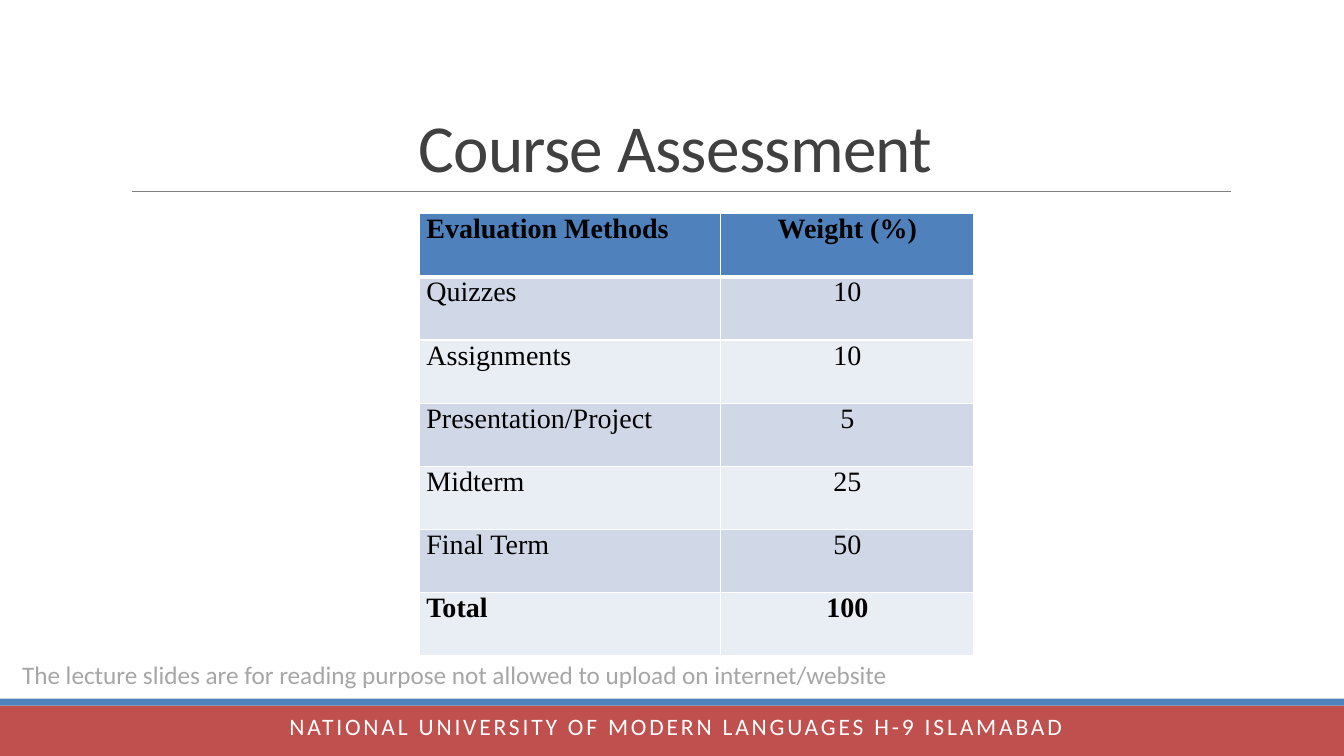
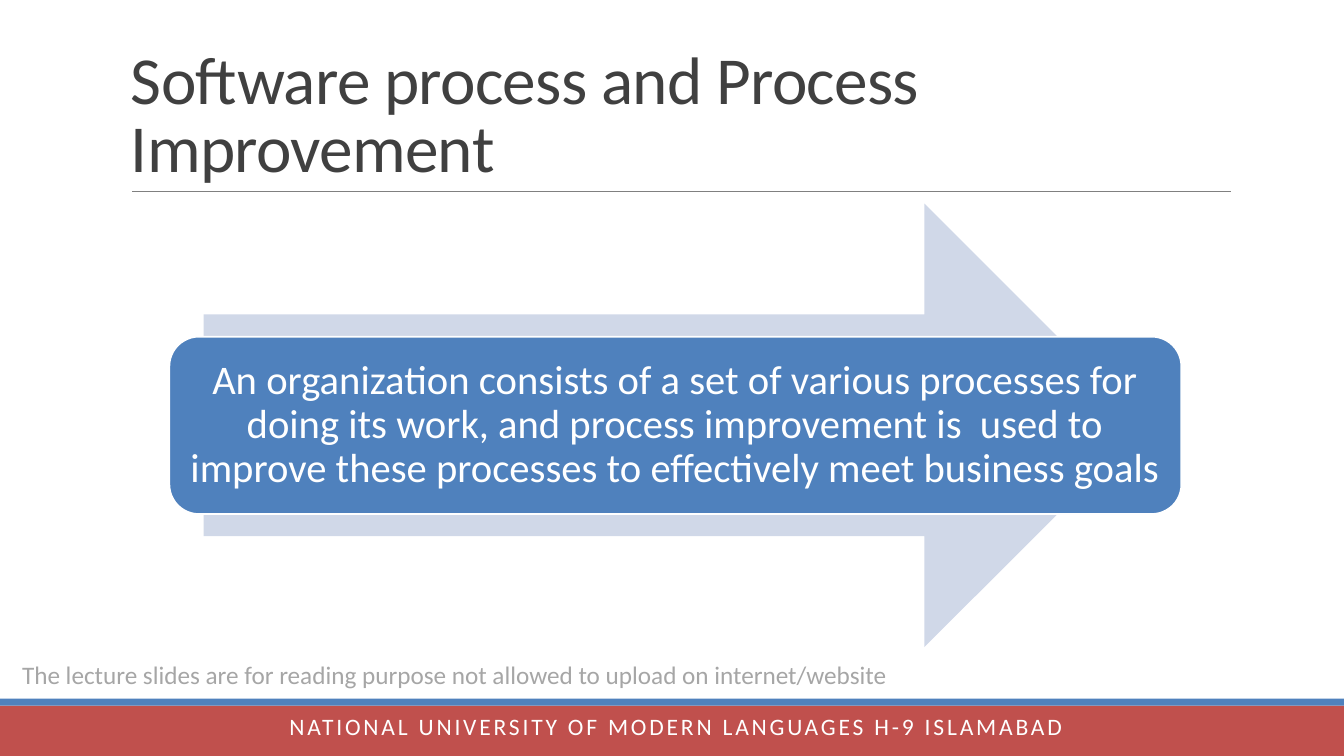
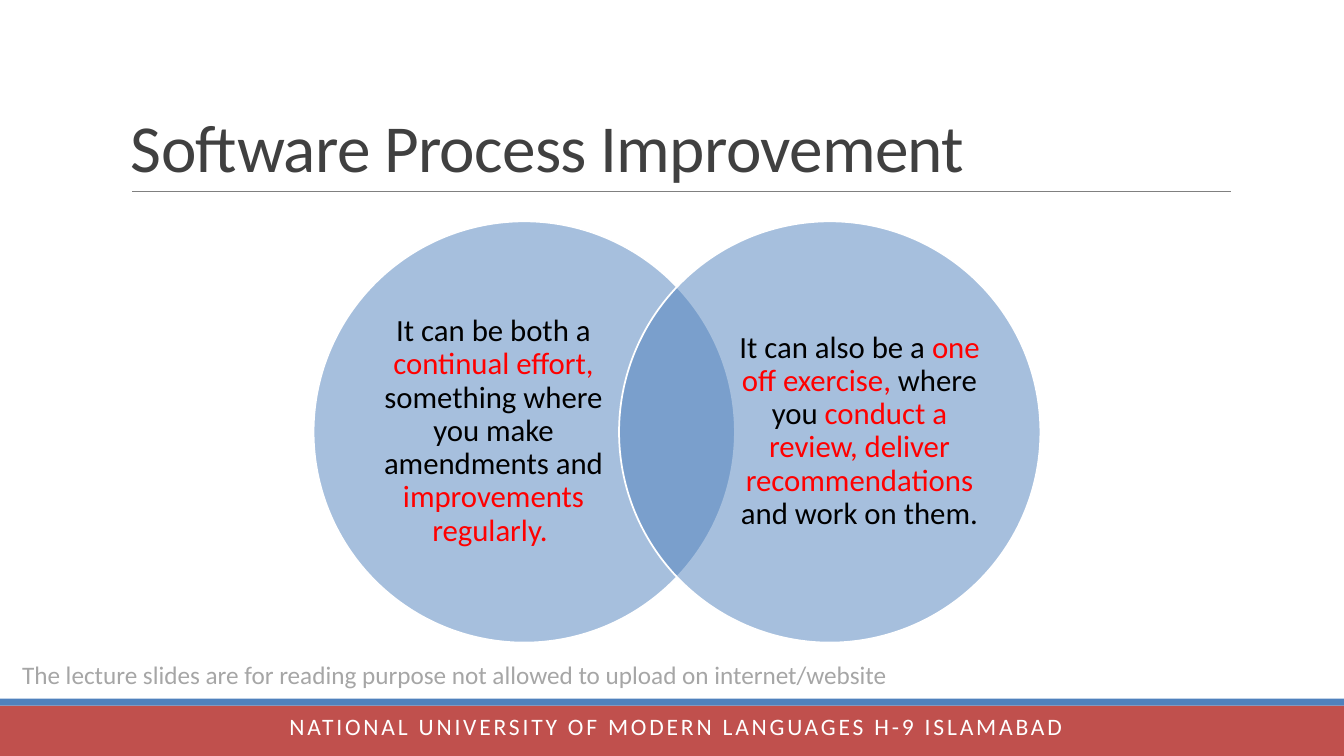
from lxml import etree
from pptx import Presentation
from pptx.dml.color import RGBColor
from pptx.enum import shapes, text
from pptx.oxml import ns
from pptx.util import Inches, Pt

# Content
NOTICE = "The lecture slides are for reading purpose not allowed to upload on internet/website"
SCHOOL = "NATIONAL UNIVERSITY OF MODERN LANGUAGES H-9 ISLAMABAD"
MARKS = [
    ("Evaluation Methods", "Weight (%)"),
    ("Quizzes", "10"),
    ("Assignments", "10"),
    ("Presentation/Project", "5"),
    ("Midterm", "25"),
    ("Final Term", "50"),
    ("Total", "100"),
]
GOAL = ("An organization consists of a set of various processes for doing its work, "
        "and process improvement is  used to improve these processes to effectively "
        "meet business goals")
# Every second part of a view is stressed
VIEWS = [
    ["It can be both a ", "continual effort,",
     " something where you make amendments and ", "improvements regularly. "],
    ["It can also be a ", "one off exercise,", " where you ",
     "conduct a review, deliver recommendations", " and work on them."],
]

# Style
HUES = dict(blue="4F81BD", red="C0504D", pale="D0D8E8", mist="E9EDF4", white="FFFFFF",
            black="000000", dark="404040", gray="808080", light="A6A6A6", stress="FF0000")
SANS, SERIF = "Calibri", "Times New Roman"
LEFT, MID = text.PP_ALIGN.LEFT, text.PP_ALIGN.CENTER
FORM = shapes.MSO_SHAPE

deck = Presentation()
deck.slide_width, deck.slide_height = Inches(13.33), Inches(7.5)


def hue(name):
    return RGBColor.from_string(HUES[name])


def area(x, y, wide, high):
    """Turn percentages of the slide into lengths."""
    across, down = deck.slide_width / 100, deck.slide_height / 100
    return int(x * across), int(y * down), int(wide * across), int(high * down)


def write(frame, parts, size, color, font=SANS, align=LEFT, lead=None, bold=False, track=0):
    para = frame.paragraphs[0]
    for i, part in enumerate(parts):
        run = para.add_run()
        run.text = part
        if i % 2:
            run.font.color.rgb = hue("stress")
        if track:
            run.font._element.set("spc", str(track))
    para.alignment, para.line_spacing = align, lead
    para.font.size, para.font.name, para.font.bold = Pt(size), font, bold
    para.font.color.rgb = hue(color)


def setup(frame, inset=None, anchor=text.MSO_ANCHOR.TOP):
    frame.word_wrap, frame.vertical_anchor = True, anchor
    if inset is not None:
        frame.margin_left = frame.margin_right = Inches(inset)
        frame.margin_top = frame.margin_bottom = Inches(inset)
    return frame


def label(slide, box, **look):
    return setup(slide.shapes.add_textbox(*area(*box)).text_frame, **look)


def draw(slide, form, box, fill, edge=None, alpha=None):
    shape = slide.shapes.add_shape(form, *area(*box))
    shape.shadow.inherit = False
    shape.fill.solid()
    shape.fill.fore_color.rgb = hue(fill)
    if alpha:
        tint = shape._element.spPr.find(".//" + ns.qn("a:srgbClr"))
        etree.SubElement(tint, ns.qn("a:alpha")).set("val", str(alpha * 1000))
    if edge:
        shape.line.color.rgb, shape.line.width = hue(edge), Pt(1.25)
    else:
        shape.line.fill.background()
    return shape


def page(title, align=LEFT):
    """Start a slide with the shared bands, rule, notice, title and footer."""
    slide = deck.slides.add_slide(deck.slide_layouts[6])
    draw(slide, FORM.RECTANGLE, (0, 93.33, 100, 6.67), "red")
    draw(slide, FORM.RECTANGLE, (0, 92.4, 100, 0.93), "blue")
    x, y, wide, _ = area(9.83, 25.33, 81.75, 0)
    rule = slide.shapes.add_connector(shapes.MSO_CONNECTOR.STRAIGHT, x, y, x + wide, y)
    rule.line.color.rgb, rule.line.width = hue("gray"), Pt(0.5)
    etree.SubElement(rule._element.spPr, ns.qn("a:effectLst"))
    write(label(slide, (0.9, 86.53, 66.67, 5.33)), [NOTICE], 18, "light")
    head = label(slide, (9, 4.13, 82.5, 21.2), anchor=text.MSO_ANCHOR.BOTTOM)
    write(head, [title], 48, "dark", align=align, lead=0.85, track=-50)
    foot = label(slide, (19, 94.53, 62.6, 5.4))
    write(foot, [SCHOOL], 16.8, "white", align=MID, lead=0.7, track=200)
    return slide


def border(cell, row):
    props = cell._tc.get_or_add_tcPr()
    thick = {"lnT": row == 1, "lnB": row == 0}
    for side in ("lnL", "lnR", "lnT", "lnB"):
        line = etree.SubElement(props, ns.qn("a:" + side))
        line.set("w", str(Pt(3 if thick.get(side) else 1)))
        fill = etree.SubElement(line, ns.qn("a:solidFill"))
        etree.SubElement(fill, ns.qn("a:srgbClr")).set("val", HUES["white"])


def grid(slide):
    count, wides, high = len(MARKS), (2.99, 2.51), 8.36
    x, y, _, tall = area(31.2, 28.27, 0, high * count)
    table = slide.shapes.add_table(count, 2, x, y, Inches(sum(wides)), tall).table
    for col, wide in zip(table.columns, wides):
        col.width = Inches(wide)
    for r, marks in enumerate(MARKS):
        table.rows[r].height = tall // count
        for c, mark in enumerate(marks):
            cell = table.cell(r, c)
            border(cell, r)
            cell.fill.solid()
            cell.fill.fore_color.rgb = hue("blue" if r == 0 else "pale" if r % 2 else "mist")
            cell.margin_left = cell.margin_right = Inches(0.07)
            cell.margin_top = cell.margin_bottom = 0
            write(cell.text_frame, [mark], 20, "black", SERIF, MID if c else LEFT,
                  bold=r in (0, count - 1))


def arrow(slide):
    draw(slide, FORM.RIGHT_ARROW, (15.15, 26.93, 70.13, 58.67), "pale")
    box = draw(slide, FORM.ROUNDED_RECTANGLE, (12.6, 44.53, 75.3, 23.47), "blue", "white")
    frame = setup(box.text_frame, 0.12, text.MSO_ANCHOR.MIDDLE)
    write(frame, [GOAL], 29, "white", align=MID, lead=0.9)


def venn(slide):
    left, top, wide, high, step = 23.33, 29.27, 31.35, 55.73, 22.73
    for i, (view, shift) in enumerate(zip(VIEWS, (4.35, 8.85))):
        x = left + i * step
        draw(slide, FORM.OVAL, (x, top, wide, high), "blue", "white", 50)
        frame = label(slide, (x + shift, top + 6.53, 18.08, 42.53),
                      inset=0, anchor=text.MSO_ANCHOR.MIDDLE)
        write(frame, view, 22, "black", align=MID, lead=0.9)


grid(page("Course Assessment", MID))
arrow(page("Software process and Process Improvement"))
venn(page("Software Process Improvement"))
deck.save("out.pptx")
